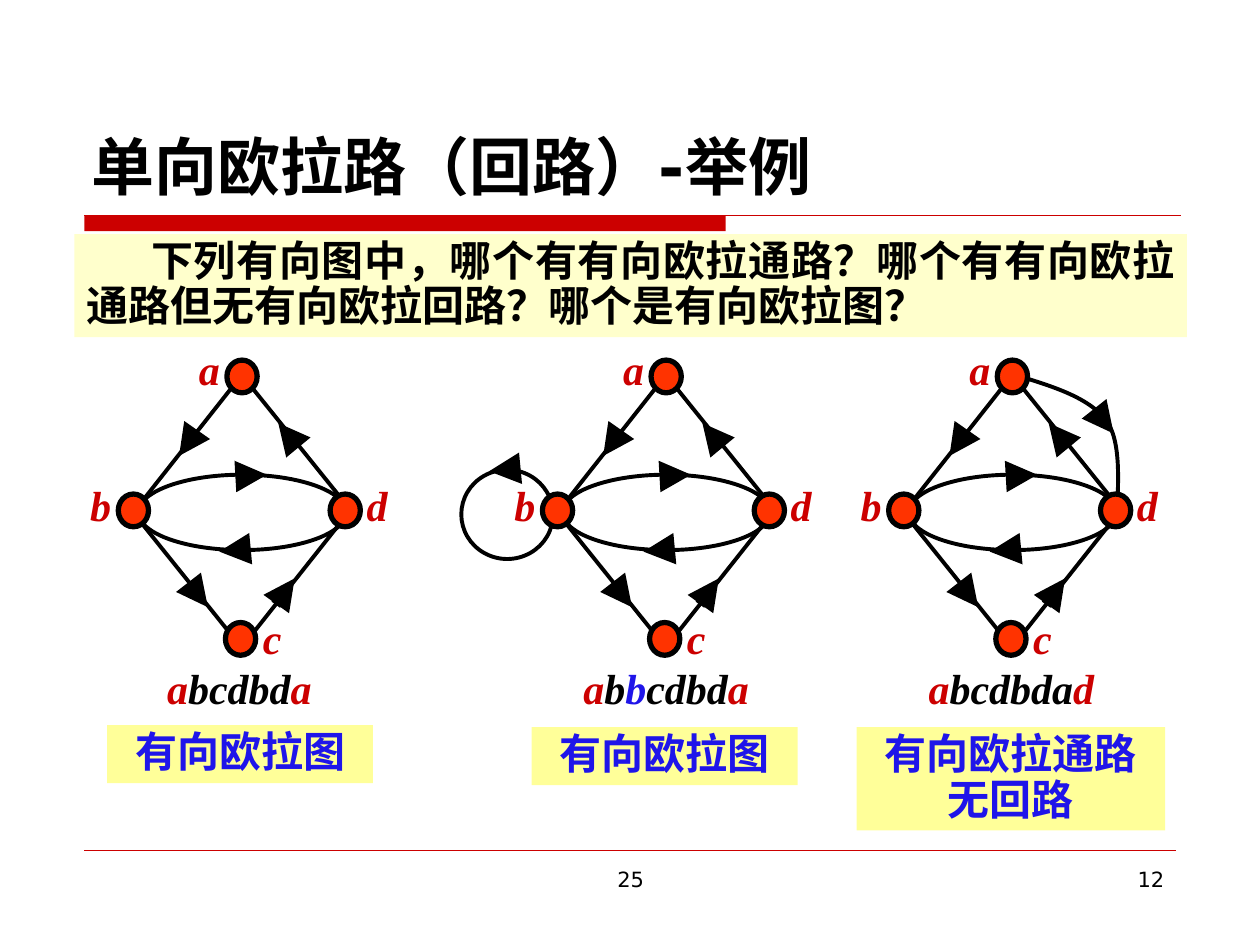
from lxml import etree
from pptx import Presentation
from pptx.dml.color import RGBColor
from pptx.enum import shapes as s, text as t
from pptx.oxml.ns import qn
from pptx.util import Cm, Pt

BLACK = RGBColor(0x00, 0x00, 0x00)
RED = RGBColor(0xCC, 0x00, 0x00)
BLUE = RGBColor(0x1F, 0x15, 0xE9)
NODE = RGBColor(0xFF, 0x33, 0x00)
CREAM = RGBColor(0xFF, 0xFF, 0xCC)
YELLOW = RGBColor(0xFF, 0xFF, 0x99)

SANS, SERIF = "DejaVu Sans", "Times New Roman"
LEFT, MID, RIGHT = t.PP_ALIGN.LEFT, t.PP_ALIGN.CENTER, t.PP_ALIGN.RIGHT

# Node name: centre, then top left of its label (cm, first graph)
NODES = {
    "a": (4.88, 7.59, 3.76, 6.81),
    "b": (2.69, 10.29, 1.57, 9.55),
    "d": (6.96, 10.29, 7.14, 9.55),
    "c": (4.85, 12.88, 5.05, 12.23),
}
EDGES = [
    (2.69, 10.34, 4.85, 13.03),
    (4.85, 13.08, 7.06, 10.29),
    (2.64, 10.39, 4.85, 7.59),
    (4.90, 7.59, 7.09, 10.31),
]
# Short strokes whose heads show the direction of each edge
HEADS = [
    (5.56, 12.19, 5.94, 11.66),
    (3.96, 8.69, 3.61, 9.19),
    (4.85, 9.60, 5.38, 9.57),
    (4.95, 11.07, 4.42, 11.12),
    (5.99, 8.99, 5.61, 8.53),
    (3.84, 11.79, 4.19, 12.24),
]


def write(frame, paras, font=SANS, size=24, bold=True, italic=False,
          color=BLACK, align=LEFT, gap=None, indent=None):
    """Each paragraph is a string or a list of (text, colour) runs."""
    for i, runs in enumerate(paras):
        para = frame.paragraphs[0] if i == 0 else frame.add_paragraph()
        para.alignment = align
        if gap:
            para.line_spacing = gap
        if indent:
            para._p.get_or_add_pPr().set("indent", str(Cm(indent)))
        if isinstance(runs, str):
            runs = [(runs, color)]
        for words, tint in runs:
            run = para.add_run()
            run.text = words
            run.font.name, run.font.size = font, Pt(size)
            run.font.bold, run.font.italic = bold, italic
            run.font.color.rgb = tint


def label(slide, x, y, w, h, paras, wrap=False, **form):
    box = slide.shapes.add_textbox(Cm(x), Cm(y), Cm(w), Cm(h))
    box.text_frame.word_wrap = wrap
    if not wrap:
        box.text_frame.auto_size = t.MSO_AUTO_SIZE.SHAPE_TO_FIT_TEXT
    write(box.text_frame, paras, **form)


def paint(shape, fill=None, line=None, width=2.25):
    shape.shadow.inherit = False
    if fill is None:
        shape.fill.background()
    else:
        shape.fill.solid()
        shape.fill.fore_color.rgb = fill
    if line is None:
        shape.line.fill.background()
    else:
        shape.line.color.rgb = line
        shape.line.width = Pt(width)


def block(slide, kind, x, y, w, h, **look):
    shape = slide.shapes.add_shape(kind, Cm(x), Cm(y), Cm(w), Cm(h))
    paint(shape, **look)
    return shape


def panel(slide, x, y, w, h, fill, paras, **form):
    rect = block(slide, s.MSO_SHAPE.RECTANGLE, x, y, w, h, fill=fill)
    rect.text_frame.word_wrap = True
    rect.text_frame.vertical_anchor = t.MSO_ANCHOR.TOP
    write(rect.text_frame, paras, gap=0.9, **form)


def line(slide, x1, y1, x2, y2, color=BLACK, width=2.25, head=False):
    link = slide.shapes.add_connector(
        s.MSO_CONNECTOR.STRAIGHT, Cm(x1), Cm(y1), Cm(x2), Cm(y2))
    link.line.color.rgb = color
    link.line.width = Pt(width)
    if head:
        etree.SubElement(link.line._get_or_add_ln(), qn("a:tailEnd"),
                         type="triangle")
    etree.SubElement(link._element.spPr, qn("a:effectLst"))


def arrow(slide, x1, y1, x2, y2):
    line(slide, x1, y1, x2, y2, width=6, head=True)


def curve(slide, start, *points):
    """Open Bezier path; every three points make one segment."""
    form = slide.shapes.build_freeform(Cm(start[0]), Cm(start[1]))
    form.add_line_segments([(Cm(x), Cm(y)) for x, y in points], close=False)
    shape = form.convert_to_shape()
    paint(shape, line=BLACK)
    track = shape._element.spPr.find(".//" + qn("a:path"))
    legs = track.findall(qn("a:lnTo"))
    for i in range(0, len(legs), 3):
        bend = etree.SubElement(track, qn("a:cubicBezTo"))
        for leg in legs[i:i + 3]:
            bend.append(leg[0])
            track.remove(leg)


def edges(slide, dx):
    block(slide, s.MSO_SHAPE.OVAL, 2.79 + dx, 9.57, 4.19, 1.52, line=BLACK)
    for x1, y1, x2, y2 in EDGES:
        line(slide, x1 + dx, y1, x2 + dx, y2)
    for x1, y1, x2, y2 in HEADS:
        arrow(slide, x1 + dx, y1, x2 + dx, y2)


def nodes(slide, dx):
    w, h = 0.61, 0.66
    for x, y, _, _ in NODES.values():
        block(slide, s.MSO_SHAPE.FLOWCHART_CONNECTOR, x + dx - w / 2,
              y - h / 2, w, h, fill=NODE, line=BLACK, width=3)
    for name, (_, _, x, y) in NODES.items():
        label(slide, x + dx, y, 0.91, 1.27, [name], font=SERIF,
              italic=True, color=RED)


def loop(slide):
    block(slide, s.MSO_SHAPE.OVAL, 9.3, 9.47, 1.85, 1.8, line=BLACK)
    arrow(slide, 10.39, 9.45, 9.86, 9.5)


def bow(slide):
    curve(slide, (20.4, 7.54), (21.16, 7.77), (21.95, 8.0), (22.3, 8.48),
          (22.66, 8.94), (22.5, 10.08), (22.53, 10.36))
    arrow(slide, 22.07, 8.26, 22.45, 8.74)


def main():
    deck = Presentation()
    deck.slide_width, deck.slide_height = Cm(25.4), Cm(19.05)
    slide = deck.slides.add_slide(deck.slide_layouts[5])

    # Title with its rule
    title = slide.shapes.title
    title.left, title.top = Cm(1.6), Cm(0.84)
    title.width, title.height = Cm(22.23), Cm(3.38)
    title.text_frame.vertical_anchor = t.MSO_ANCHOR.BOTTOM
    title.text_frame.auto_size = t.MSO_AUTO_SIZE.NONE
    write(title.text_frame, ["单向欧拉路（回路）-举例"], size=36)
    block(slide, s.MSO_SHAPE.RECTANGLE, 1.7, 4.35, 12.93, 0.31, fill=RED)
    line(slide, 1.7, 4.35, 23.8, 4.35, color=RED, width=0.75)

    # Footer
    line(slide, 1.7, 17.14, 23.7, 17.14, color=RED, width=0.25)
    for x, w, num, align in [(8.69, 8.05, "25", MID), (18.21, 5.51, "12", RIGHT)]:
        label(slide, x, 17.35, w, 1.32, [num], wrap=True, size=12,
              bold=False, align=align)

    # Question
    panel(slide, 1.5, 4.72, 22.43, 2.08, CREAM,
          ["下列有向图中，哪个有有向欧拉通路？哪个有有向欧拉通路"
           "但无有向欧拉回路？哪个是有向欧拉图？"],
          align=t.PP_ALIGN.JUSTIFY, indent=1.3)

    # Graphs: shift from the first, and what is special to each
    for dx, extra in [(0, None), (8.55, loop), (15.53, bow)]:
        edges(slide, dx)
        if extra:
            extra(slide)
        nodes(slide, dx)

    # Trails
    trails = [
        (3.12, 3.43, [("a", RED), ("bcdbd", BLACK), ("a", RED)]),
        (11.51, 3.84, [("a", RED), ("b", BLACK), ("b", BLUE),
                       ("cdbd", BLACK), ("a", RED)]),
        (18.47, 3.84, [("a", RED), ("bcdbda", BLACK), ("d", RED)]),
    ]
    for x, w, runs in trails:
        label(slide, x, 13.23, w, 1.27, [runs], font=SERIF, italic=True)

    # Verdicts
    verdicts = [
        (2.16, 14.62, 5.36, 1.17, ["有向欧拉图"]),
        (10.72, 14.66, 5.36, 1.17, ["有向欧拉图"]),
        (17.27, 14.66, 6.22, 2.08, ["有向欧拉通路", "无回路"]),
    ]
    for x, y, w, h, paras in verdicts:
        panel(slide, x, y, w, h, YELLOW, paras, font=SERIF, color=BLUE,
              align=MID)

    deck.save("out.pptx")


if __name__ == "__main__":
    main()
